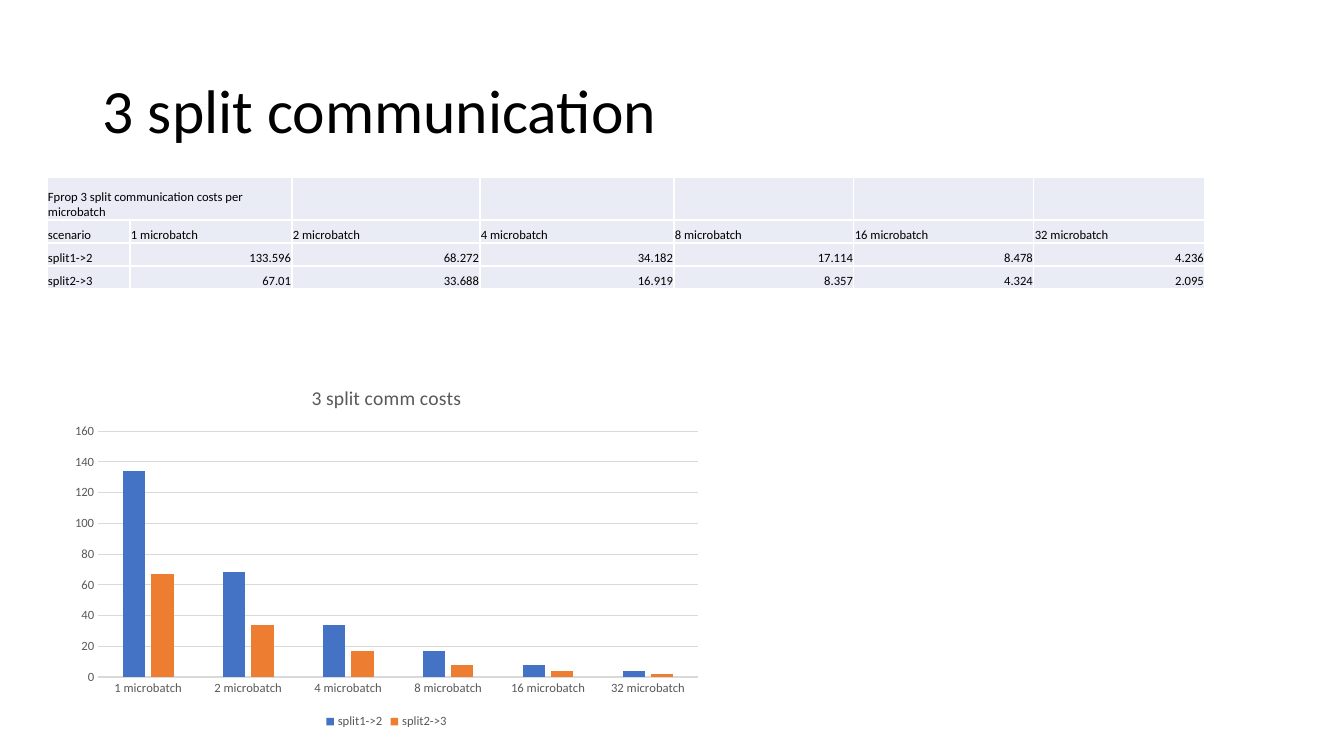
from lxml import etree
from pptx import Presentation
from pptx.chart.data import CategoryChartData
from pptx.dml.color import RGBColor
from pptx.enum.chart import XL_CHART_TYPE, XL_LEGEND_POSITION, XL_TICK_MARK
from pptx.enum.text import MSO_ANCHOR, PP_ALIGN
from pptx.oxml.ns import qn
from pptx.util import Emu, Pt

COLUMNS = XL_CHART_TYPE.COLUMN_CLUSTERED
LEGEND_BOTTOM = XL_LEGEND_POSITION.BOTTOM
NO_TICKS = XL_TICK_MARK.NONE
MIDDLE, BOTTOM = MSO_ANCHOR.MIDDLE, MSO_ANCHOR.BOTTOM
LEFT, RIGHT = PP_ALIGN.LEFT, PP_ALIGN.RIGHT

BLACK = RGBColor(0x00, 0x00, 0x00)
WHITE = RGBColor(0xFF, 0xFF, 0xFF)
CELL_FILL = RGBColor(0xE9, 0xEB, 0xF5)
CHART_TEXT = RGBColor(0x59, 0x59, 0x59)
GRID_GREY = RGBColor(0xD9, 0xD9, 0xD9)
BLUE = RGBColor(0x44, 0x72, 0xC4)
ORANGE = RGBColor(0xED, 0x7D, 0x31)

FONT = "Calibri"
EMU_PER_PX = 914400 / 100.8

BATCHES = [f"{count} microbatch" for count in (1, 2, 4, 8, 16, 32)]
COSTS = {
    "split1->2": (133.596, 68.272, 34.182, 17.114, 8.478, 4.236),
    "split2->3": (67.01, 33.688, 16.919, 8.357, 4.324, 2.095),
}
SPLIT_COLOURS = (BLUE, ORANGE)
COLUMN_WIDTHS = (83, 162, 188, 194, 180, 180, 171)
ROW_HEIGHTS = (43, 23, 23, 23)


def px(length):
    return Emu(round(length * EMU_PER_PX))


def box(*lengths):
    return [px(length) for length in lengths]


def style_font(font, size, colour):
    font.name = FONT
    font.size = Pt(size)
    font.bold = False
    font.color.rgb = colour


def write(frame, text, size=9, colour=BLACK, align=LEFT, spacing=None):
    paragraph = frame.paragraphs[0]
    paragraph.alignment = align
    paragraph.line_spacing = spacing
    run = paragraph.add_run()
    run.text = text
    style_font(run.font, size, colour)


def border_cell(cell):
    """Draw a 1 pt white line on all four sides of the cell."""
    properties = cell._tc.get_or_add_tcPr()
    for position, side in enumerate(("a:lnL", "a:lnR", "a:lnT", "a:lnB")):
        line = etree.Element(qn(side), w=str(Pt(1)))
        fill = etree.SubElement(line, qn("a:solidFill"))
        etree.SubElement(fill, qn("a:srgbClr"), val=str(WHITE))
        properties.insert(position, line)


def add_title(slide, text):
    frame = slide.shapes.add_textbox(*box(93, 41, 1159, 146)).text_frame
    frame.word_wrap = True
    frame.vertical_anchor = MIDDLE
    write(frame, text, size=44, spacing=0.9)


def add_cost_table(slide, heading):
    rows = [[heading] + [""] * len(BATCHES), ["scenario", *BATCHES]]
    rows += [[split, *costs] for split, costs in COSTS.items()]
    place = box(47, 177, sum(COLUMN_WIDTHS), sum(ROW_HEIGHTS))
    table = slide.shapes.add_table(len(rows), len(COLUMN_WIDTHS), *place).table
    for column, width in zip(table.columns, COLUMN_WIDTHS):
        column.width = px(width)
    for row, height in zip(table.rows, ROW_HEIGHTS):
        row.height = px(height)
    for row, values in zip(table.rows, rows):
        for cell, value in zip(row.cells, values):
            cell.fill.solid()
            cell.fill.fore_color.rgb = CELL_FILL
            cell.vertical_anchor = BOTTOM
            cell.margin_left = cell.margin_right = cell.margin_top = px(1)
            cell.margin_bottom = 0
            border_cell(cell)
            if value != "":
                align = RIGHT if isinstance(value, float) else LEFT
                write(cell.text_frame, str(value), align=align)
    table.cell(0, 0).merge(table.cell(0, 1))


def add_cost_chart(slide, title):
    cost_data = CategoryChartData()
    cost_data.categories = BATCHES
    for split, costs in COSTS.items():
        cost_data.add_series(split, [round(cost) for cost in costs])
    place = box(62, 368, 649, 365)
    chart = slide.shapes.add_chart(COLUMNS, *place, cost_data).chart
    style_font(chart.font, 10, BLACK)

    chart.has_title = True
    write(chart.chart_title.text_frame, title, size=14, colour=CHART_TEXT)
    chart.chart_title.include_in_layout = False

    chart.has_legend = True
    chart.legend.position = LEGEND_BOTTOM
    chart.legend.include_in_layout = False
    style_font(chart.legend.font, 9, CHART_TEXT)

    plot = chart.plots[0]
    plot.gap_width = 219
    plot.overlap = -27
    plot.vary_by_categories = False
    for series, colour in zip(plot.series, SPLIT_COLOURS):
        series.format.fill.solid()
        series.format.fill.fore_color.rgb = colour

    batches, costs = chart.category_axis, chart.value_axis
    for axis in (batches, costs):
        axis.major_tick_mark = axis.minor_tick_mark = NO_TICKS
        style_font(axis.tick_labels.font, 9, CHART_TEXT)
    costs.minimum_scale, costs.maximum_scale, costs.major_unit = 0, 160, 20
    costs.tick_labels.number_format = "General"
    costs.tick_labels.number_format_is_linked = False
    costs.format.line.fill.background()
    for line in (batches.format.line, costs.major_gridlines.format.line):
        line.color.rgb = GRID_GREY
        line.width = Pt(0.75)


def main():
    presentation = Presentation()
    presentation.slide_width, presentation.slide_height = box(1344, 756)
    slide = presentation.slides.add_slide(presentation.slide_layouts[6])
    add_title(slide, "3 split communication")
    add_cost_table(slide, "Fprop 3 split communication costs per microbatch")
    add_cost_chart(slide, "3 split comm costs")
    presentation.save("out.pptx")


if __name__ == "__main__":
    main()
